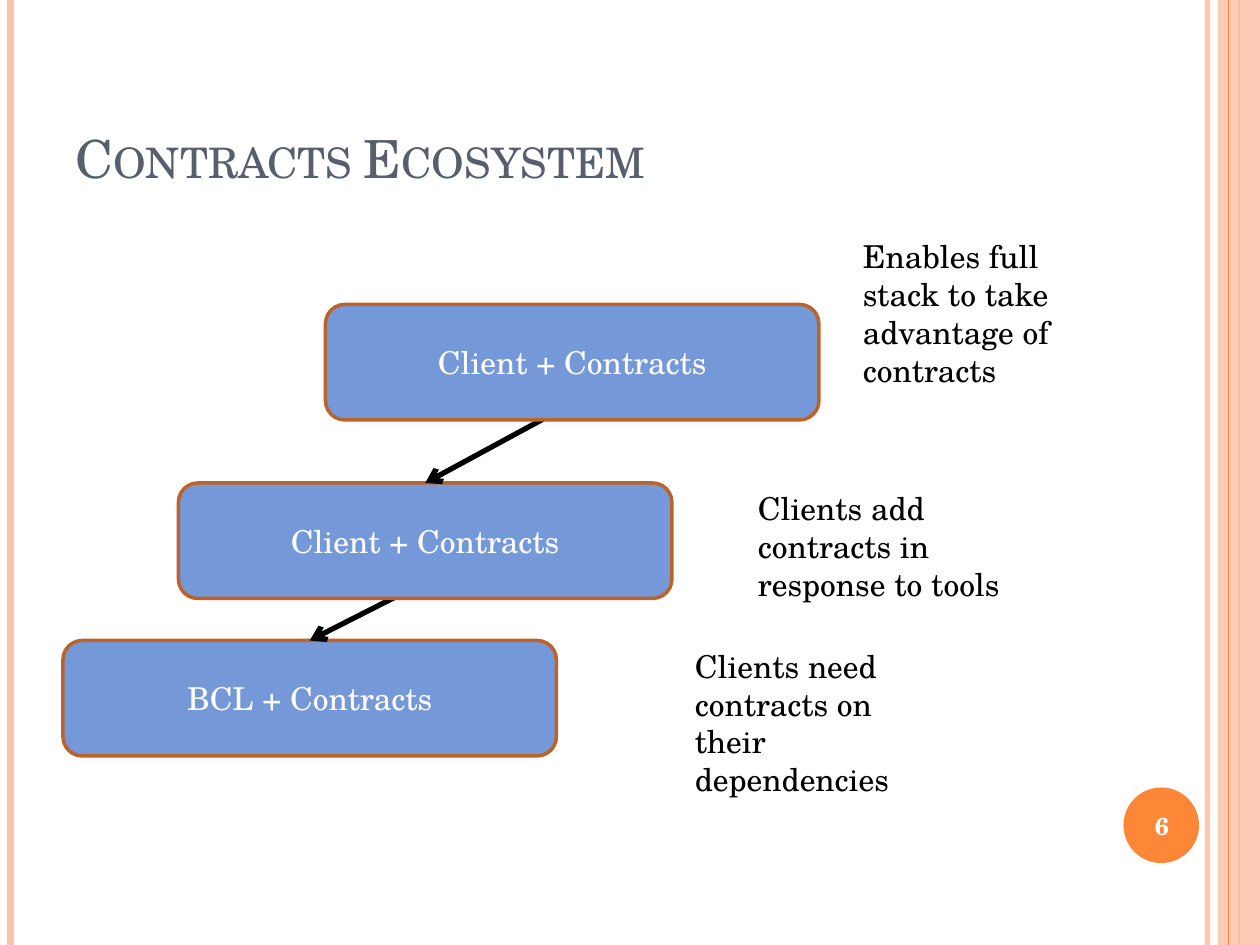
from lxml import etree
from pptx import Presentation
from pptx.dml.color import RGBColor
from pptx.enum import shapes, text
from pptx.oxml.ns import qn
from pptx.util import Pt

FONT = "TeX Gyre Schola"
BOX_WIDTH, BOX_HEIGHT, NOTE_WIDTH = 282, 66, 156
LAYERS = [
    ("BCL + Contracts", 36, 366,
     "Clients need contracts on their dependencies", 390, 366, 94.3),
    ("Client + Contracts", 102, 276,
     "Clients add contracts in response to tools", 426, 276, 72.7),
    ("Client + Contracts", 186, 174,
     "Enables full stack to take advantage of contracts", 486, 132, 94.3),
]


def paint(color_format, color, alpha=100):
    """Set a solid fill or line fill to a hex colour, with opacity in percent."""
    color_format.solid()
    color_format.fore_color.rgb = RGBColor.from_string(color)
    if alpha < 100:
        element = color_format._xPr.find(qn("a:solidFill"))[0]
        etree.SubElement(element, qn("a:alpha"), val=str(alpha * 1000))


def write(shape, words, size, color, anchor, align=text.PP_ALIGN.LEFT, bold=False):
    """Fill a shape with one wrapped paragraph and return its run."""
    frame = shape.text_frame
    frame.word_wrap = True
    frame.vertical_anchor = anchor
    paragraph = frame.paragraphs[0]
    paragraph.alignment = align
    run = paragraph.add_run()
    run.text = words
    font = paragraph.font
    font.name, font.size, font.bold = FONT, Pt(size), bold
    font.color.rgb = RGBColor.from_string(color)
    return run


def add_text(slide, box, *args, **kwargs):
    """Add a text box at (left, top, width, height) and return its run."""
    return write(slide.shapes.add_textbox(*map(Pt, box)), *args, **kwargs)


def add_shape(slide, kind, box, color, alpha=100, outline=None):
    """Add a flat preset shape with an optional 2 pt outline."""
    shape = slide.shapes.add_shape(kind, *map(Pt, box))
    shape.shadow.inherit = False
    paint(shape.fill, color, alpha)
    if outline:
        paint(shape.line.fill, outline)
        shape.line.width = Pt(2)
    else:
        shape.line.fill.background()
    return shape


def add_line(slide, start, end, color, width, alpha=100):
    """Add a straight connector without a shadow."""
    line = slide.shapes.add_connector(
        shapes.MSO_CONNECTOR.STRAIGHT, *map(Pt, (*start, *end)))
    paint(line.line.fill, color, alpha)
    line.line.width = Pt(width)
    etree.SubElement(line._element.spPr, qn("a:effectLst"))
    return line


def add_arrow(slide, start, target):
    """Add an arrow from a point to the top middle of a target box."""
    arrow = add_line(slide, start, start, "000000", 3)
    arrow.end_connect(target, 0)
    etree.SubElement(arrow.line._get_or_add_ln(), qn("a:tailEnd"), type="arrow")


def add_frame(slide, width, height):
    """Draw the side stripes and the numbered disc."""
    def stripe(x, color, weight, alpha=100):
        add_line(slide, (x, 0), (x, height), color, weight, alpha)

    stripe(width - 30, "FEC3AE", 3, 93)
    stripe(6, "FEC3AE", 4.5)
    stripe(width - 12, "FE8637", 1.5)
    add_shape(slide, shapes.MSO_SHAPE.RECTANGLE,
              (width - 24, 0, 24, height), "FEC3AE", 87)
    stripe(width - 18, "FE8637", 0.75)
    add_shape(slide, shapes.MSO_SHAPE.OVAL,
              (width - 78, height - 90, 43.2, 43.2), "FE8637")
    add_text(slide, (width - 80, height - 88.8, 48, 41), "6", 14, "FFFFFF",
             text.MSO_ANCHOR.MIDDLE, text.PP_ALIGN.CENTER, True)


def add_title(slide, box):
    """Write the title in small capitals."""
    run = add_text(slide, box, "Contracts Ecosystem", 30, "575F6D",
                   text.MSO_ANCHOR.BOTTOM)
    run._r.get_or_add_rPr().set("cap", "small")


def add_stack(slide):
    """Draw the layers from the bottom up, linked by arrows, with their notes."""
    below = None
    for label, left, top, *_ in LAYERS:
        if below is not None:
            add_arrow(slide, (left + 140, top + 57), below)
        below = add_shape(slide, shapes.MSO_SHAPE.ROUNDED_RECTANGLE,
                          (left, top, BOX_WIDTH, BOX_HEIGHT), "7598D9",
                          outline="BC6329")
        write(below, label, 18, "FFFFFF", text.MSO_ANCHOR.MIDDLE,
              text.PP_ALIGN.CENTER)
    for *_, note, left, top, height in LAYERS:
        add_text(slide, (left, top, NOTE_WIDTH, height), note, 18, "000000",
                 text.MSO_ANCHOR.TOP)


def main():
    """Build the slide and save it."""
    presentation = Presentation()
    presentation.slide_width, presentation.slide_height = Pt(720), Pt(540)
    slide = presentation.slides.add_slide(presentation.slide_layouts[6])
    add_frame(slide, 720, 540)
    add_title(slide, (36, 21.6, 588, 90))
    add_stack(slide)
    presentation.save("out.pptx")


if __name__ == "__main__":
    main()
